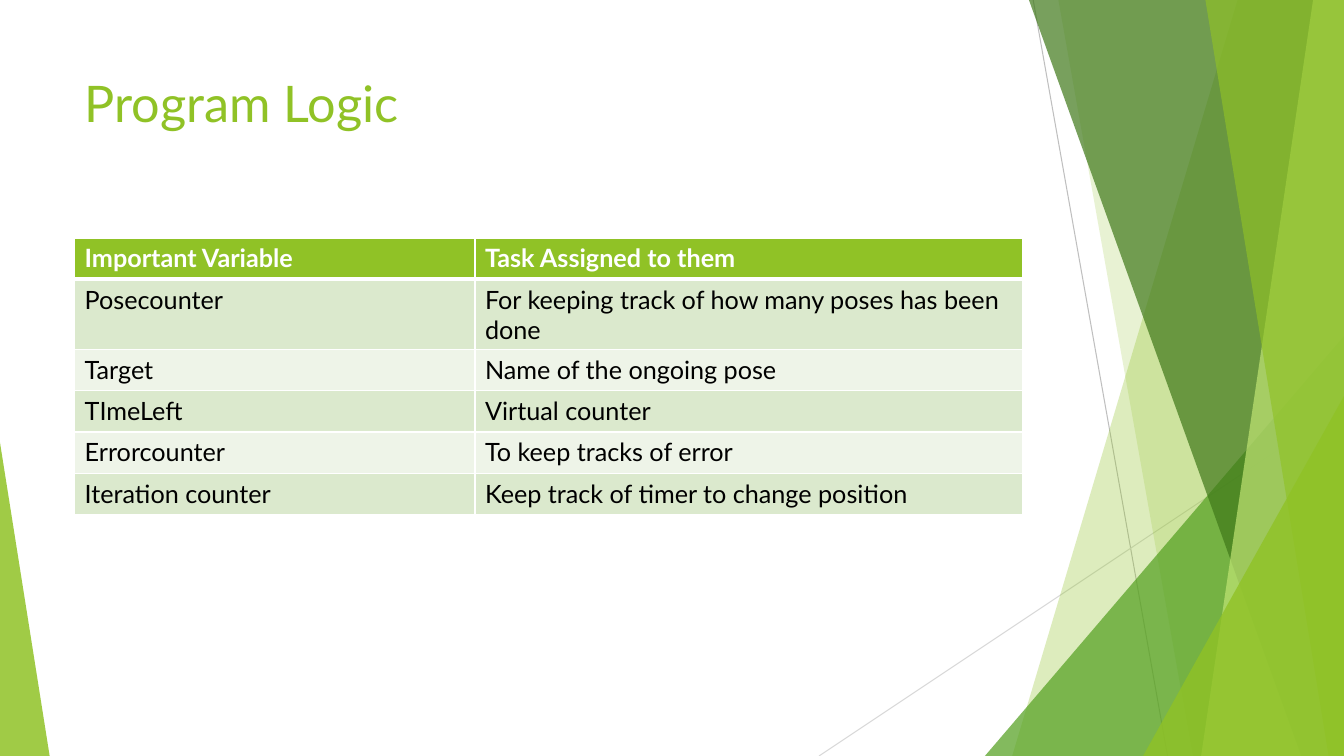
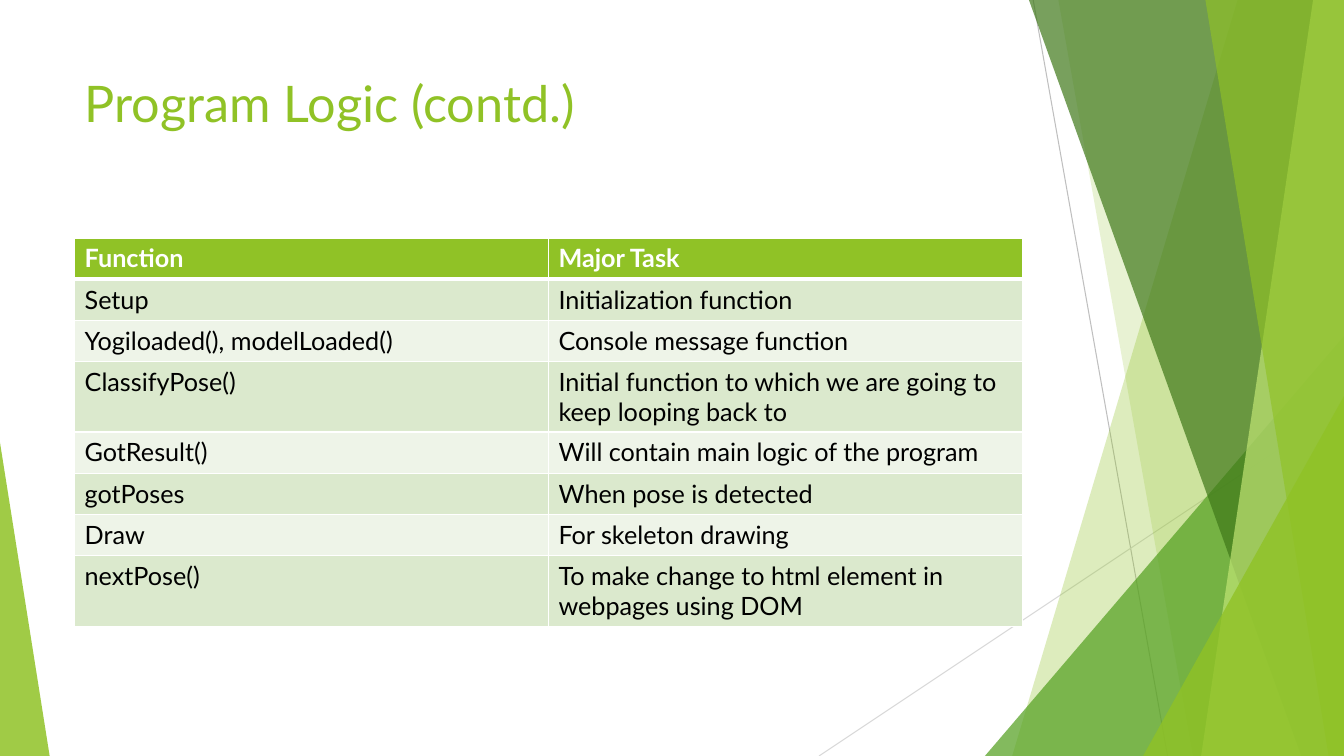
"""Build two program-logic slides, each a titled table beside green facets."""
from lxml import etree
from pptx import Presentation
from pptx.dml.color import RGBColor
from pptx.enum import shapes, text
from pptx.oxml import ns
from pptx.util import Pt

SLIDES = [
    {"title": "Program Logic", "columns": (286, 391), "rows": [
        ("Important Variable", "Task Assigned to them"),
        ("Posecounter", "For keeping track of how many poses has been done"),
        ("Target", "Name of the ongoing pose"),
        ("TImeLeft", "Virtual counter"),
        ("Errorcounter", "To keep tracks of error"),
        ("Iteration counter", "Keep track of timer to change position"),
    ]},
    {"title": "Program Logic (contd.)", "columns": (338.5, 338.5), "rows": [
        ("Function", "Major Task"),
        ("Setup", "Initialization function"),
        ("Yogiloaded(), modelLoaded()", "Console message function"),
        ("ClassifyPose()", "Initial function to which we are going to keep looping back to"),
        ("GotResult()", "Will contain main logic of the program"),
        ("gotPoses", "When pose is detected"),
        ("Draw", "For skeleton drawing"),
        ("nextPose()", "To make change to html element in webpages using DOM"),
    ]},
]

COLORS = {
    "lime": "90C226", "green": "54A021", "forest": "3F7819", "pale": "C0E474",
    "white": "FFFFFF", "black": "000000", "gray": "BFBFBF", "light_gray": "D9D9D9",
    "odd_row": "DBE9CD", "even_row": "EEF4E8",
}
FONT = "Lato"
WIDTH, HEIGHT = 960, 540
LEFT, CONTENT_WIDTH = 53.3, 677
TITLE_TOP, TITLE_HEIGHT = 48, 104
TABLE_TOP, ROW_HEIGHT = 170, 29.4

LINES = [(738, 0, 834, HEIGHT, "gray"), (WIDTH, 290, 585, HEIGHT, "light_gray")]
# kind, geometry, colour, opacity: bands give top and bottom x, triangles left, top, width, apex
FACETS = [
    ("band", (884, 723), "lime", 30),
    ("band", (756, 852), "lime", 20),
    ("triangle", (703.5, 240, 256.5, 1), "green", 72),
    ("band", (735, 929.5), "forest", 70),
    ("band", (938, 858), "pale", 70),
    ("band", (861, 949), "lime", 65),
    ("triangle", (816.5, 283, 143.5, 1), "lime", 80),
    ("triangle", (0, 316, 35.5, 0), "lime", 85),
]


def rgb(name):
    return RGBColor.from_string(COLORS[name])


def style(p, size, color, bold=False):
    p.font.name, p.font.size, p.font.bold = FONT, Pt(size), bold
    p.font.color.rgb = rgb(color)


def add_line(s, x1, y1, x2, y2, color):
    line = s.shapes.add_connector(
        shapes.MSO_CONNECTOR.STRAIGHT, Pt(x1), Pt(y1), Pt(x2), Pt(y2))
    line.line.color.rgb, line.line.width = rgb(color), Pt(0.75)
    etree.SubElement(line._element.spPr, ns.qn("a:effectLst"))


def add_facet(s, kind, geometry, color, opacity):
    if kind == "band":
        top_x, bottom_x = geometry
        outline = s.shapes.build_freeform(Pt(top_x), 0)
        outline.add_line_segments(
            [(Pt(WIDTH), 0), (Pt(WIDTH), Pt(HEIGHT)), (Pt(bottom_x), Pt(HEIGHT))])
        sp = outline.convert_to_shape()
    else:
        left, top, width, apex = geometry
        sp = s.shapes.add_shape(shapes.MSO_SHAPE.ISOSCELES_TRIANGLE,
                                Pt(left), Pt(top), Pt(width), Pt(HEIGHT - top))
        sp.adjustments[0] = apex
    sp.shadow.inherit = False
    sp.line.fill.background()
    sp.fill.solid()
    sp.fill.fore_color.rgb = rgb(color)
    clr = sp._element.spPr.find(".//" + ns.qn("a:srgbClr"))
    etree.SubElement(clr, ns.qn("a:alpha"), val=str(opacity * 1000))


def add_title(s, title):
    tf = s.shapes.add_textbox(
        Pt(LEFT), Pt(TITLE_TOP), Pt(CONTENT_WIDTH), Pt(TITLE_HEIGHT)).text_frame
    tf.word_wrap, tf.vertical_anchor = True, text.MSO_ANCHOR.TOP
    tf.text = title
    style(tf.paragraphs[0], 36, "lime")


def add_borders(cell, row):
    widths = {"L": 1, "R": 1, "T": 3 if row == 1 else 1, "B": 3 if row == 0 else 1}
    for side, width in widths.items():
        ln = etree.SubElement(cell._tc.get_or_add_tcPr(), ns.qn(f"a:ln{side}"),
                              w=str(Pt(width)))
        fill = etree.SubElement(ln, ns.qn("a:solidFill"))
        etree.SubElement(fill, ns.qn("a:srgbClr"), val=COLORS["white"])


def add_table(s, columns, rows):
    table = s.shapes.add_table(len(rows), len(columns), Pt(LEFT), Pt(TABLE_TOP),
                               Pt(CONTENT_WIDTH), Pt(ROW_HEIGHT * len(rows))).table
    table.horz_banding = False
    for column, width in zip(table.columns, columns):
        column.width = Pt(width)
    for i, row in enumerate(rows):
        table.rows[i].height = Pt(ROW_HEIGHT)
        header = i == 0
        fill = "lime" if header else "odd_row" if i % 2 else "even_row"
        for cell, label in zip(table.rows[i].cells, row):
            add_borders(cell, i)
            cell.fill.solid()
            cell.fill.fore_color.rgb = rgb(fill)
            cell.text = label
            style(cell.text_frame.paragraphs[0], 18, "white" if header else "black", header)


def main():
    prs = Presentation()
    prs.slide_width, prs.slide_height = Pt(WIDTH), Pt(HEIGHT)
    for content in SLIDES:
        s = prs.slides.add_slide(prs.slide_layouts[6])
        for line in LINES:
            add_line(s, *line)
        for facet in FACETS:
            add_facet(s, *facet)
        add_title(s, content["title"])
        add_table(s, content["columns"], content["rows"])
    prs.save("out.pptx")


if __name__ == "__main__":
    main()
